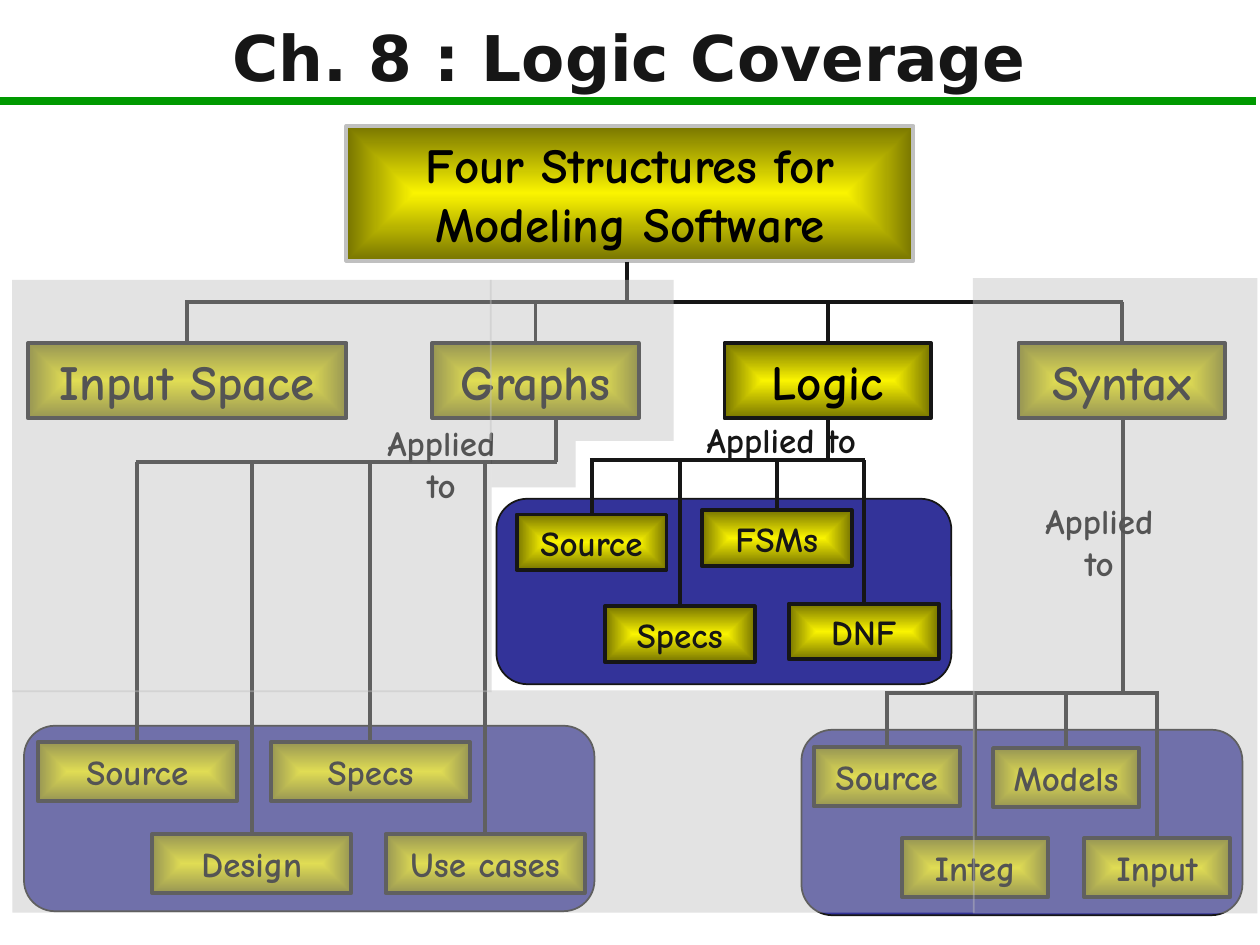
"""Build the logic coverage slide: four modelling structures and where each applies."""
from lxml.etree import SubElement
from pptx import Presentation
from pptx.dml.color import RGBColor
from pptx.enum.shapes import MSO_CONNECTOR, MSO_SHAPE
from pptx.enum.text import MSO_ANCHOR, PP_ALIGN
from pptx.oxml.ns import qn
from pptx.util import Pt

THEME = {
    "ink": "161616", "black": "000000", "rule": "009900", "panel": "333399",
    "glow": "FAF400", "edge": "787500", "grey": "C0C0C0",
    "head": "DejaVu Sans", "body": "Comic Neue",
    "title": 36, "large": 28, "small": 20, "thin": 1, "line": 2.25, "thick": 4.5,
}
TITLE = ("Ch. 8 : Logic Coverage", (7, 3.5, 705, 63.5))
ROOT = ("Four Structures for Modeling Software", (198, 72, 324, 77))
STEM = (358.5, 149.5)
BUS = 172.5
ROW = (196, 43)
HEADS = [("Graphs", 247, 118), ("Logic", 414, 118),
         ("Input Space", 16, 182), ("Syntax", 582, 118)]
NOTE = "Applied to"
GROUPS = [
    {"panel": (458, 417, 252, 106), "size": (83.5, 33.8), "bus": 396,
     "stem": 641.5, "note": (584, 281.5, 88.5, 55.5), "ink": "black",
     "boxes": [("Source", 465, 427), ("Integ", 515.5, 479),
               ("Models", 567.5, 427.5), ("Input", 619.5, 479)]},
    {"panel": (283.7, 285, 260, 106), "size": (85.7, 31.7), "bus": 263,
     "stem": 473, "note": (384, 235.5, 125, 31), "ink": "ink",
     "boxes": [("Source", 295.2, 294), ("Specs", 345.6, 346.5),
               ("FSMs", 401, 291.6), ("DNF", 450.7, 345)]},
    {"panel": (13.7, 414.7, 326, 106), "size": (113.8, 33.8), "bus": 264,
     "stem": 317.5, "note": (208, 237, 88.5, 55.5), "ink": "black",
     "boxes": [("Source", 21.6, 424), ("Design", 87, 476.6),
               ("Specs", 154.8, 424), ("Use cases", 220.3, 476.6)]},
]
FLOOR = 238.5
VEILS = [(556, 159, 162.5, 363), (7, 394.5, 550, 127), (7, 160, 274, 235.5),
         (280, 160, 105, 92), (281, 252, 48, 26.5)]

deck = Presentation()
deck.slide_width, deck.slide_height = Pt(720), Pt(540)
slide = deck.slides.add_slide(deck.slide_layouts[6])
shapes = slide.shapes


def tint(name):
    return RGBColor.from_string(THEME[name])


def assign(item, values):
    for key, value in values.items():
        setattr(item, key, value)


def write(shape, text, size, ink="black", font="body", space=None):
    frame = shape.text_frame
    assign(frame, {"word_wrap": True, "vertical_anchor": MSO_ANCHOR.MIDDLE})
    para = frame.paragraphs[0]
    assign(para, {"alignment": PP_ALIGN.CENTER, "line_spacing": space})
    run = para.add_run()
    run.text = text
    assign(run.font, {"name": THEME[font], "size": Pt(THEME[size]), "bold": True})
    run.font.color.rgb = tint(ink)


def label(text, area, *style):
    write(shapes.add_textbox(*map(Pt, area)), text, *style)


def block(kind, area, line=None, width="line"):
    shape = shapes.add_shape(kind, *map(Pt, area))
    shape.shadow.inherit = False
    if line:
        shape.line.color.rgb = tint(line)
        shape.line.width = Pt(THEME[width])
    else:
        shape.line.fill.background()
    return shape


def paint(shape, name):
    shape.fill.solid()
    shape.fill.fore_color.rgb = tint(name)


def box(text, area, size, ink="black", line="ink"):
    shape = block(MSO_SHAPE.RECTANGLE, area, line)
    shape.fill.gradient()
    for stop, name, place in zip(shape.fill.gradient_stops, ("glow", "edge"), (0, 1)):
        stop.color.rgb = tint(name)
        stop.position = place
    grad = shape._element.spPr.find(qn("a:gradFill"))
    grad.remove(grad.find(qn("a:lin")))
    path = SubElement(grad, qn("a:path"), {"path": "shape"})
    SubElement(path, qn("a:fillToRect"), dict.fromkeys("ltrb", "50000"))
    write(shape, text, size, ink)


def wire(left, top, right, base, name="ink", width="line"):
    line = shapes.add_connector(MSO_CONNECTOR.STRAIGHT, *map(Pt, (left, top, right, base)))
    line.line.color.rgb = tint(name)
    line.line.width = Pt(THEME[width])
    SubElement(line._element.spPr, qn("a:effectLst"))


def comb(bus, tips, stem, top):
    span = [spot for spot, _ in tips] + [stem]
    wire(min(span) - 1, bus, max(span) + 1, bus)
    for spot, tip in tips:
        wire(spot, bus, spot, tip)
    wire(stem, top, stem, bus)


def branch(group):
    wide, high = group["size"]
    panel = block(MSO_SHAPE.ROUNDED_RECTANGLE, group["panel"], "ink", "thin")
    paint(panel, "panel")
    for text, left, top in group["boxes"]:
        box(text, (left, top, wide, high), "small", group["ink"])
    tips = [(left + wide / 2, top) for _, left, top in group["boxes"]]
    comb(group["bus"], tips, group["stem"], FLOOR)
    label(NOTE, group["note"], "small", group["ink"])


def veil(area):
    shape = block(MSO_SHAPE.RECTANGLE, area)
    paint(shape, "grey")
    color = shape._element.spPr.find(qn("a:solidFill"))[0]
    SubElement(color, qn("a:alpha"), {"val": "44000"})


def main():
    wire(0, 57.5, 718, 57.5, "rule", "thick")
    label(*TITLE, "title", "ink", "head", 0.9)
    box(*ROOT, "large", line="grey")
    top, high = ROW
    for text, left, wide in HEADS:
        box(text, (left, top, wide, high), "large")
    comb(BUS, [(left + wide / 2, top) for _, left, wide in HEADS], *STEM)
    for group in GROUPS:
        branch(group)
    for area in VEILS:
        veil(area)
    deck.save("out.pptx")


if __name__ == "__main__":
    main()
